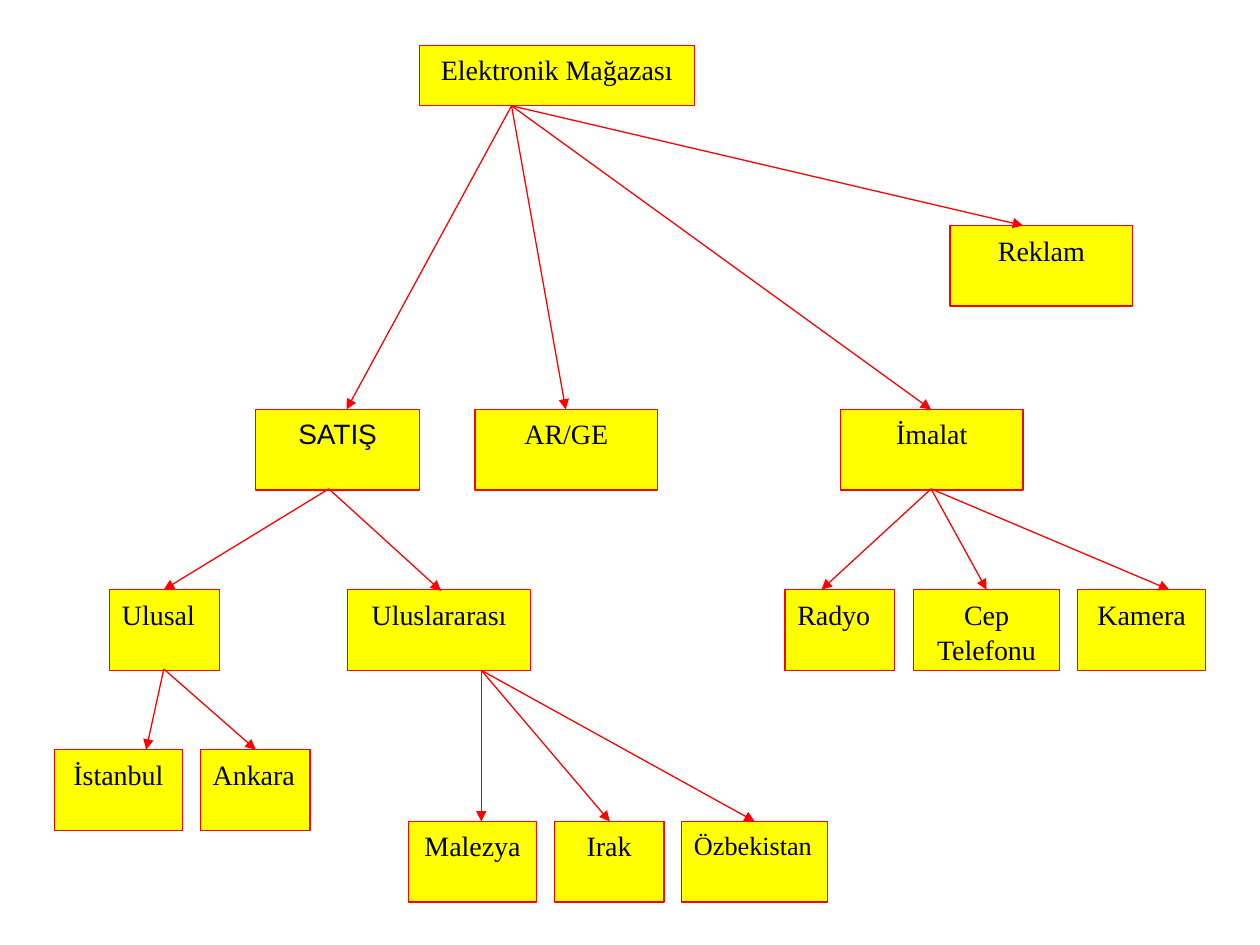
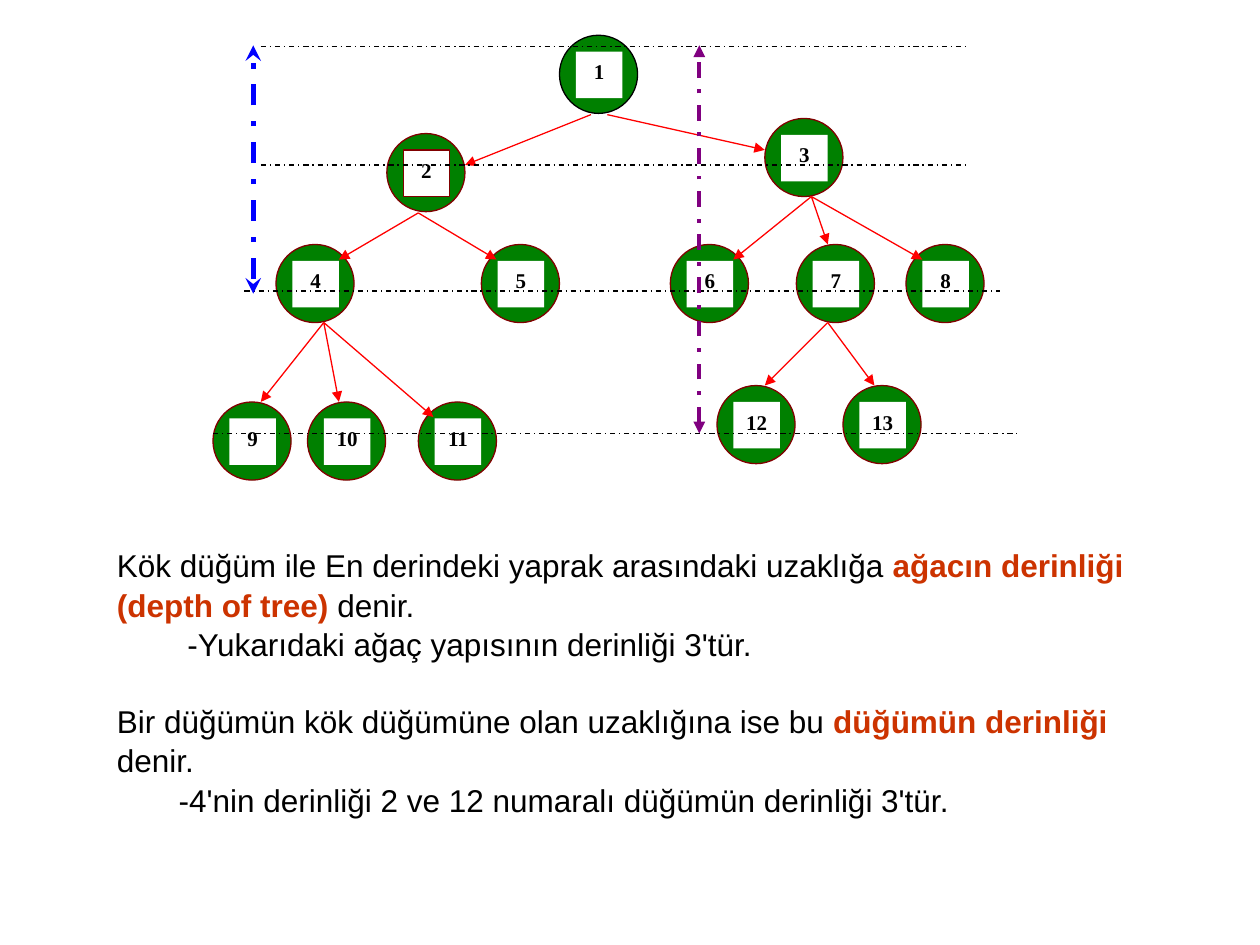
from lxml import etree
from pptx import Presentation
from pptx.dml.color import RGBColor
from pptx.enum.dml import MSO_LINE
from pptx.enum.shapes import MSO_CONNECTOR, MSO_SHAPE
from pptx.enum.text import MSO_ANCHOR, PP_ALIGN
from pptx.oxml.ns import qn
from pptx.util import Pt

RECTANGLE, ELLIPSE = MSO_SHAPE.RECTANGLE, MSO_SHAPE.OVAL
STRAIGHT, DASH_DOT = MSO_CONNECTOR.STRAIGHT, MSO_LINE.DASH_DOT
LEFT, CENTER = PP_ALIGN.LEFT, PP_ALIGN.CENTER
TOP, MIDDLE = MSO_ANCHOR.TOP, MSO_ANCHOR.MIDDLE

EMU_PER_PX = 9144
BLACK, WHITE, RED, YELLOW = "000000", "FFFFFF", "FF0000", "FFFF00"
GREEN, MAROON, BLUE, PURPLE, RUST = "008000", "800000", "0000FF", "800080", "CC3300"
SERIF, SANS = "Times New Roman", "Arial"
THIN = 0.75
LINE_SPACING = 1.04
BLANK_LAYOUT = 6

BOX_HEIGHT = 64
ROOT_BOX = ("Elektronik Mağazası", 333, 36, 218)
STORE_BOXES = [
    ("Reklam", 754, 179, 145),
    ("AR/GE", 377, 325, 145),
    ("İmalat", 667, 325, 145),
    ("Uluslararası", 276, 468, 145),
    ("Cep Telefonu", 725, 468, 116),
    ("Kamera", 855, 468, 102),
    ("İstanbul", 43, 595, 102),
    ("Malezya", 324, 652, 102),
    ("Irak", 440, 652, 87),
]
LEFT_BOXES = [
    ("Ulusal", 87, 468, 87),
    ("Radyo", 623, 468, 87),
    ("Ankara", 159, 595, 87),
]
STORE_LINKS = {
    (406, 84): [(275, 325), (449, 325), (739, 325), (812, 179)],
    (261, 388): [(130, 468), (350, 469)],
    (739, 388): [(652, 468), (783, 468), (928, 468)],
    (130, 531): [(116, 595), (203, 595)],
    (382, 532): [(382, 652), (484, 652), (599, 652)],
}

CIRCLE, LABEL = 62, 37
NODES = [
    (444, 28), (307, 106), (607, 94),
    (219, 194), (382, 194), (532, 194), (632, 194), (719, 194),
    (169, 319), (244, 319), (332, 319), (569, 306), (669, 306),
]
NODE_LINKS = {
    (469, 91): [(369, 131)],
    (482, 91): [(607, 119)],
    (332, 169): [(269, 206), (394, 206)],
    (644, 156): [(582, 206), (657, 194), (732, 206)],
    (257, 256): [(207, 319), (269, 319), (344, 331)],
    (657, 256): [(607, 306), (694, 306)],
}
LEVELS = [(207, 769, 37), (207, 769, 131), (194, 794, 231), (169, 807, 344)]
DEFINITIONS = [
    (0, 0, [("Kök düğüm ile En derindeki yaprak arasındaki uzaklığa ", False),
            ("ağacın derinliği (depth of tree)", True), (" denir.", False)]),
    (56, 0, [("-Yukarıdaki ağaç yapısının derinliği 3'tür.", False)]),
    (0, 21.6, [("Bir düğümün kök düğümüne olan uzaklığına ise bu ", False),
               ("düğümün derinliği", True), (" denir.", False)]),
    (49, 0, [("-4'nin derinliği 2 ve 12 numaralı düğümün derinliği 3'tür.", False)]),
]


def px(length):
    """Turn px into EMU."""
    return length * EMU_PER_PX


def color(value):
    """Turn a hex string into a colour."""
    return RGBColor.from_string(value)


def add_text(para, text, font=SERIF, size=16, bold=False, fill=BLACK):
    """Add a formatted span to a paragraph."""
    span = para.add_run()
    span.text = text
    span.font.name = font
    span.font.size = Pt(size)
    span.font.bold = bold
    span.font.color.rgb = color(fill)


def add_figure(page, kind, left, top, width, height, fill, line=None):
    """Add a flat filled shape, outlined when a line colour is given."""
    figure = page.shapes.add_shape(kind, px(left), px(top), px(width), px(height))
    figure.shadow.inherit = False
    figure.fill.solid()
    figure.fill.fore_color.rgb = color(fill)
    if line:
        figure.line.color.rgb = color(line)
        figure.line.width = Pt(THIN)
    else:
        figure.line.fill.background()
    return figure


def set_label(figure, text, align=CENTER, wrap=True, **style):
    """Write one paragraph at the top of a shape."""
    frame = figure.text_frame
    frame.word_wrap = wrap
    frame.vertical_anchor = TOP
    para = frame.paragraphs[0]
    para.alignment = align
    para.line_spacing = LINE_SPACING
    add_text(para, text, **style)


def add_line(page, start, end, stroke, width=THIN, dash=None, head=None, tail=None):
    """Draw a straight line with optional dashes and arrowheads."""
    line = page.shapes.add_connector(STRAIGHT, *map(px, start + end))
    line.line.color.rgb = color(stroke)
    line.line.width = Pt(width)
    if dash:
        line.line.dash_style = dash
    properties = line._element.spPr
    outline = properties.find(qn("a:ln"))
    for tag, arrow in (("a:headEnd", head), ("a:tailEnd", tail)):
        if arrow:
            etree.SubElement(outline, qn(tag), type=arrow)
    etree.SubElement(properties, qn("a:effectLst"))


def add_links(page, links):
    """Draw red arrows from each parent point to its child points."""
    for parent, children in links.items():
        for child in children:
            add_line(page, parent, child, RED, tail="triangle")


def add_store_box(page, text, left, top, width, height=BOX_HEIGHT, **style):
    """Add a yellow box of the store tree."""
    box = add_figure(page, RECTANGLE, left, top, width, height, YELLOW, RED)
    set_label(box, text, **style)


def add_node(page, number, left, top):
    """Add a numbered green node."""
    add_figure(page, ELLIPSE, left, top, CIRCLE, CIRCLE, GREEN,
               BLACK if number == 1 else MAROON)
    inset = (CIRCLE - LABEL + 1) // 2
    label = add_figure(page, RECTANGLE, left + inset, top + inset, LABEL, LABEL,
                       WHITE, MAROON if number == 2 else None)
    set_label(label, str(number), wrap=False, size=12, bold=True)


def add_definitions(page):
    """Write the definitions of depth under the tree."""
    box = page.shapes.add_textbox(px(83), px(431), px(874), px(220))
    frame = box.text_frame
    frame.word_wrap = True
    frame.vertical_anchor = MIDDLE
    for index, (indent, gap, spans) in enumerate(DEFINITIONS):
        para = frame.add_paragraph() if index else frame.paragraphs[0]
        para.line_spacing = LINE_SPACING
        if indent:
            para._p.get_or_add_pPr().set("marL", str(px(indent)))
        if gap:
            para.space_before = Pt(gap)
        for text, is_term in spans:
            add_text(para, text, font=SANS, size=18, bold=is_term,
                     fill=RUST if is_term else BLACK)


def build_store_page(page):
    """Build the organisation tree of the store."""
    add_store_box(page, *ROOT_BOX, height=48)
    add_store_box(page, "SATIŞ", 203, 325, 130, font=SANS)
    for box in STORE_BOXES:
        add_store_box(page, *box)
    for box in LEFT_BOXES:
        add_store_box(page, *box, align=LEFT)
    add_store_box(page, "Özbekistan", 541, 652, 116, align=LEFT, size=15)
    add_links(page, STORE_LINKS)


def build_depth_page(page):
    """Build the numbered tree with its depth levels."""
    for number, (left, top) in enumerate(NODES, 1):
        add_node(page, number, left, top)
    add_links(page, NODE_LINKS)
    for left, right, height in LEVELS:
        add_line(page, (left, height), (right, height), BLACK, dash=DASH_DOT)
    add_definitions(page)
    add_line(page, (201, 233), (201, 36), BLUE, 3, DASH_DOT, "stealth", "stealth")
    add_line(page, (555, 344), (555, 36), PURPLE, 2.25, DASH_DOT, "triangle", "triangle")


def main():
    """Build and save the deck."""
    deck = Presentation()
    deck.slide_width, deck.slide_height = px(1000), px(750)
    for build in (build_store_page, build_depth_page):
        build(deck.slides.add_slide(deck.slide_layouts[BLANK_LAYOUT]))
    deck.save("out.pptx")


if __name__ == "__main__":
    main()
